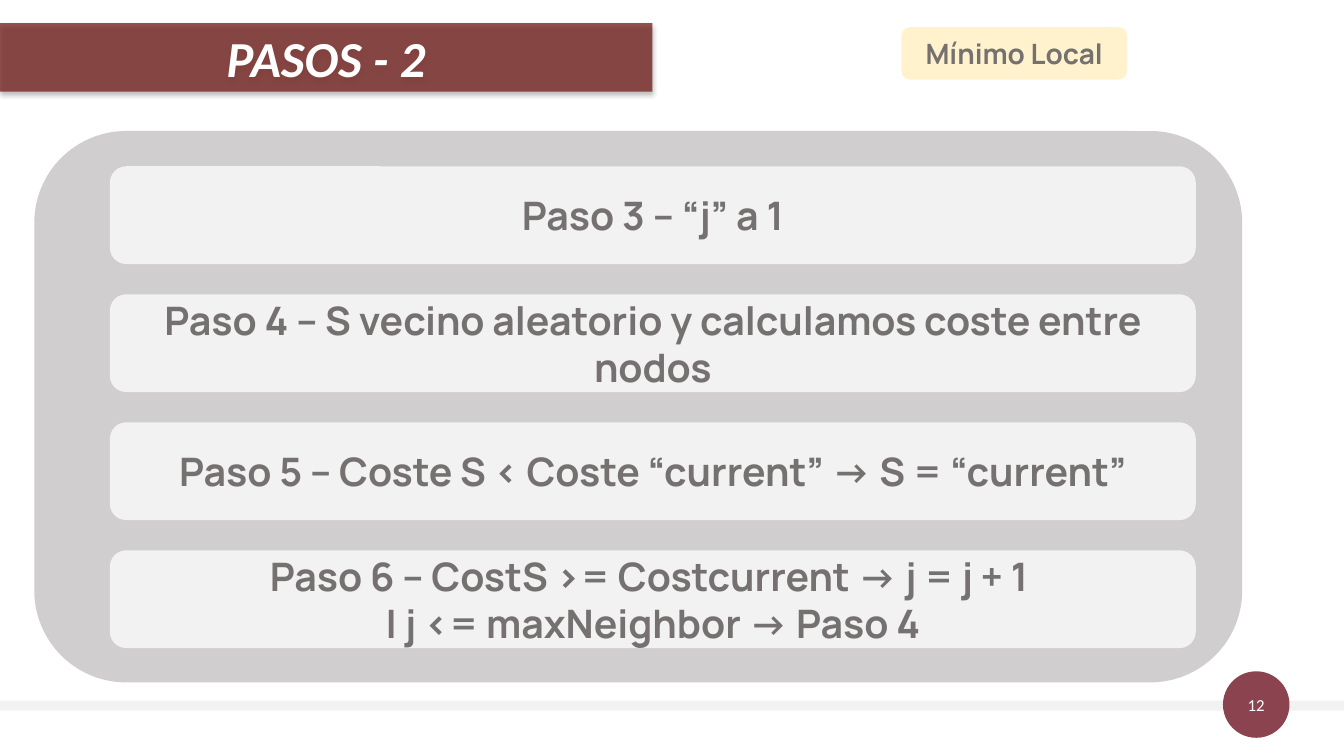
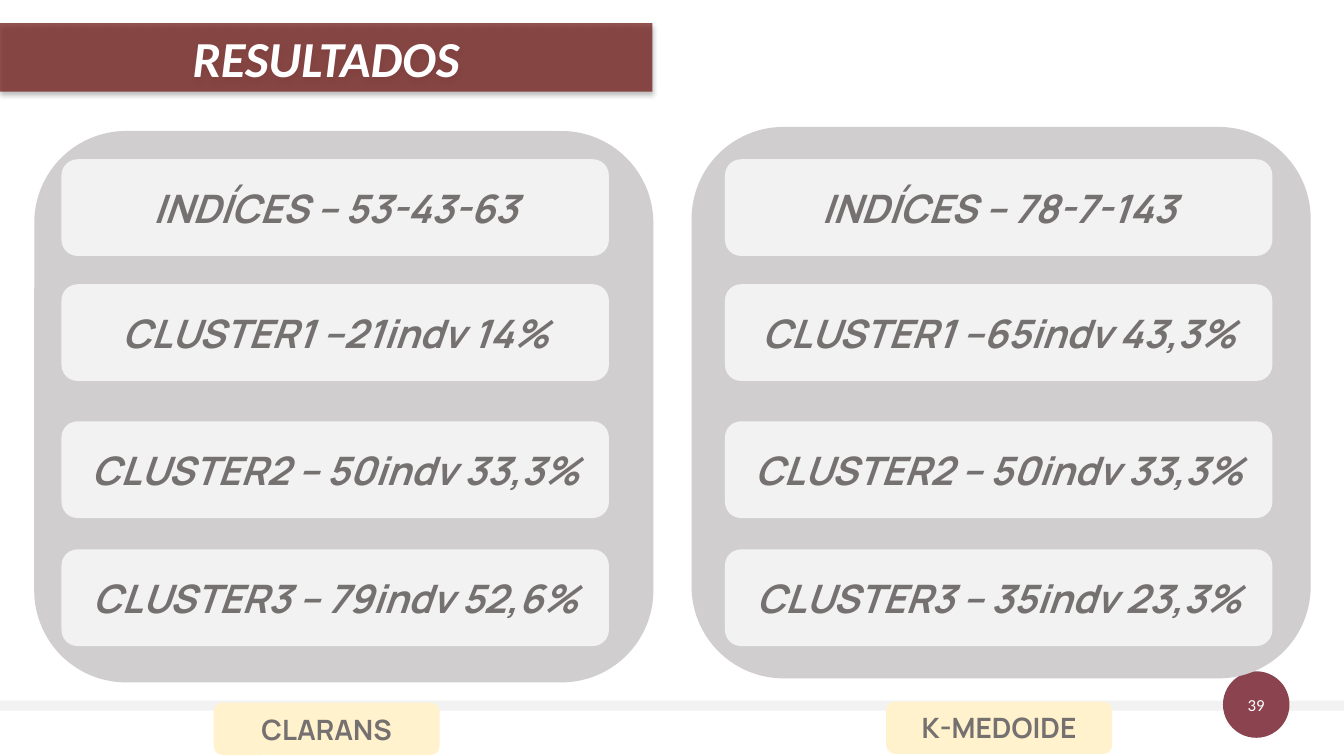
from lxml import etree
from pptx import Presentation
from pptx.dml.color import RGBColor
from pptx.enum.shapes import MSO_SHAPE
from pptx.enum.text import MSO_ANCHOR, PP_ALIGN
from pptx.oxml.ns import qn
from pptx.util import Inches, Pt

RECT, ROUND, OVAL = MSO_SHAPE.RECTANGLE, MSO_SHAPE.ROUNDED_RECTANGLE, MSO_SHAPE.OVAL
MIDDLE, CENTER = MSO_ANCHOR.MIDDLE, PP_ALIGN.CENTER
WIDTH, HEIGHT = 13.33, 7.5
HEAD_FONT, BODY_FONT = "Calibri", "Manrope"
WHITE, LIGHT, PANEL, GREY = "FFFFFF", "F2F2F2", "D0CECE", "767171"
TITLE_RED, BADGE_RED, TAG_CREAM = "731F1C", "8A434F", "FFF2CC"
PANEL_TOP, PANEL_H = 1.3, 5.47
STEP_ROWS = [1.27 * i for i in range(4)]
RESULT_ROWS = [0, 1.24, 2.6, 3.87]


def color(hex_code):
    """Turn a hex string into a colour."""
    return RGBColor.from_string(hex_code)


def add_box(s, kind, box, fill):
    """Add a flat, filled shape without outline."""
    sp = s.shapes.add_shape(kind, *map(Inches, box))
    sp.shadow.inherit = False
    sp.fill.solid()
    sp.fill.fore_color.rgb = color(fill)
    sp.line.fill.background()
    return sp


def write(sp, text, size, font=BODY_FONT, ink=GREY, bold=True, italic=False, inset=None):
    """Write centred text, one paragraph per line."""
    tf = sp.text_frame
    tf.word_wrap = True
    tf.vertical_anchor = MIDDLE
    if inset is not None:
        tf.margin_left = tf.margin_top = tf.margin_right = tf.margin_bottom = Inches(inset)
    tf.text = text
    for p in tf.paragraphs:
        p.alignment = CENTER
        p.font.name, p.font.size = font, Pt(size)
        p.font.bold, p.font.italic = bold, italic
        p.font.color.rgb = color(ink)


def set_alpha(color_element, percent):
    """Make a colour element partly transparent."""
    etree.SubElement(color_element, qn("a:alpha"), val=str(percent * 1000))


def add_title(s, text):
    """Add the translucent title band with its soft shadow."""
    sp = add_box(s, RECT, (0, 0.23, 6.47, 0.68), TITLE_RED)
    sp_pr = sp.fill._xPr
    set_alpha(sp_pr.find(qn("a:solidFill"))[0], 76)
    shadow = etree.SubElement(
        sp_pr.find(qn("a:effectLst")), qn("a:outerShdw"), blurRad=str(Pt(3.5)),
        dist=str(Pt(2.2)), dir="5400000", algn="t", rotWithShape="0")
    set_alpha(etree.SubElement(shadow, qn("a:srgbClr"), val="000000"), 32)
    write(sp, text, 36, HEAD_FONT, WHITE, italic=True, inset=0.1)


def add_base(prs, title, number):
    """Start a slide with the footer line, page badge and title."""
    s = prs.slides.add_slide(prs.slide_layouts[6])
    add_box(s, RECT, (0, 6.95, WIDTH, 0.1), LIGHT)
    badge = add_box(s, OVAL, (12.13, 6.66, 0.66, 0.66), BADGE_RED)
    write(badge, str(number), 12, HEAD_FONT, WHITE, bold=False, inset=0)
    add_title(s, title)
    return s


def add_cards(s, panel, left, top, width, height, rows, texts, italic=False):
    """Add a panel and its cards, placed relative to the panel corner."""
    add_box(s, ROUND, panel, PANEL)
    for row, text in zip(rows, texts):
        box = (panel[0] + left, panel[1] + top + row, width, height)
        write(add_box(s, ROUND, box, LIGHT), text, 28, italic=italic)


def add_tag(s, left, top, text):
    """Add a small cream label."""
    write(add_box(s, ROUND, (left, top, 2.24, 0.52), TAG_CREAM), text, 20)


def steps_slide(prs):
    """Build the slide with steps three to six."""
    s = add_base(prs, "PASOS - 2", 12)
    add_cards(s, (0.34, PANEL_TOP, 11.98, PANEL_H), 0.75, 0.35, 10.77, 0.97, STEP_ROWS, [
        "Paso 3 – “j” a 1",
        "Paso 4 – S vecino aleatorio y calculamos coste entre nodos",
        "Paso 5 – Coste S < Coste “current” -> S = “current”",
        "Paso 6 – CostS >= Costcurrent -> j = j + 1 \n| j <= maxNeighbor -> Paso 4",
    ])
    add_tag(s, 8.94, 0.27, "Mínimo Local")


def results_slide(prs):
    """Build the slide comparing the results of both methods."""
    s = add_base(prs, "RESULTADOS", 39)
    methods = [
        (0.34, PANEL_TOP, 0.27, 0.28, ["INDÍCES – 53-43-63", "CLUSTER1 –21indv 14%",
                                       "CLUSTER2 – 50indv 33,3%", "CLUSTER3 – 79indv 52,6%"]),
        (6.86, 1.26, 0.33, 0.32, ["INDÍCES – 78-7-143", "CLUSTER1 –65indv 43,3%",
                                  "CLUSTER2 – 50indv 33,3%", "CLUSTER3 – 35indv 23,3%"]),
    ]
    for x, y, left, top, texts in methods:
        add_cards(s, (x, y, 6.14, PANEL_H), left, top, 5.43, 0.96, RESULT_ROWS, texts, True)
    add_tag(s, 2.12, 6.97, "CLARANS")
    add_tag(s, 8.79, 6.96, "K-MEDOIDE")


def main():
    """Build and save the presentation."""
    prs = Presentation()
    prs.slide_width, prs.slide_height = Inches(WIDTH), Inches(HEIGHT)
    steps_slide(prs)
    results_slide(prs)
    prs.save("out.pptx")


if __name__ == "__main__":
    main()
